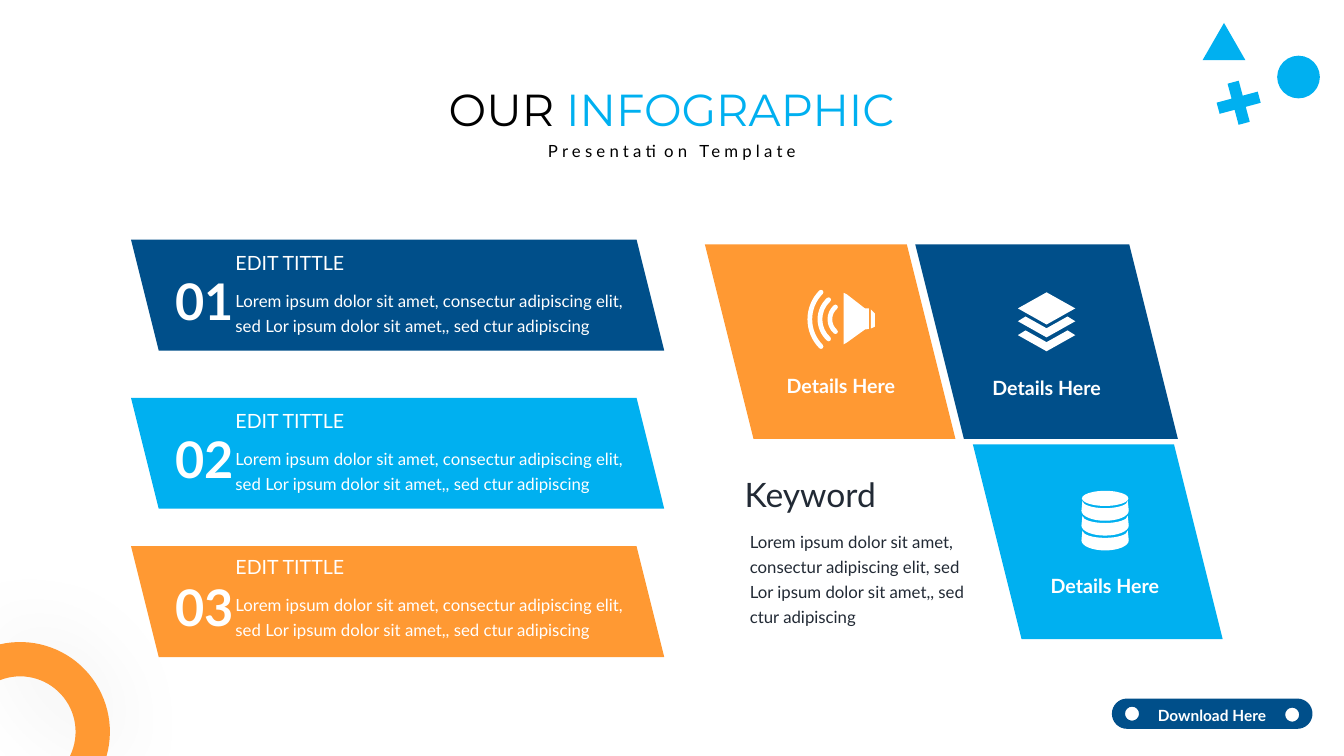
from math import acos, asin, atan2, ceil, cos, degrees, radians, sin, tan

from lxml.etree import SubElement
from pptx import Presentation
from pptx.dml.color import RGBColor
from pptx.enum.shapes import MSO_SHAPE
from pptx.enum.text import MSO_AUTO_SIZE, PP_ALIGN
from pptx.oxml.ns import qn
from pptx.util import Pt

NAVY, SKY, ORANGE = "004F8A", "00B0F0", "FF9933"
WHITE, BLACK, INK = "FFFFFF", "000000", "222A35"
LOREM = ("Lorem ipsum dolor sit amet, consectur adipiscing elit, "
         "sed Lor ipsum dolor sit amet,, sed ctur adipiscing")


def rgb(code):
    return RGBColor.from_string(code)


def polygon(*points):
    return [(point,) for point in points]


def arc(cx, cy, rx, ry, start, end):
    count = ceil(abs(end - start) / 90)
    turn = radians(end - start) / count
    pull = 4 / 3 * tan(turn / 4)
    pieces = [((cx + rx * cos(radians(start)), cy + ry * sin(radians(start))),)]
    for i in range(count):
        a = radians(start) + turn * i
        b = a + turn
        pieces.append(((cx + rx * (cos(a) - pull * sin(a)), cy + ry * (sin(a) + pull * cos(a))),
                       (cx + rx * (cos(b) + pull * sin(b)), cy + ry * (sin(b) - pull * cos(b))),
                       (cx + rx * cos(b), cy + ry * sin(b))))
    return pieces


class InfographicSlide:
    def __init__(self, slide, font="Lato"):
        self.shapes = slide.shapes
        self.font = font

    def finish(self, shape, fill):
        shape.shadow.inherit = False
        shape.fill.solid()
        shape.fill.fore_color.rgb = rgb(fill)
        shape.line.fill.background()
        return shape

    def preset(self, kind, box, fill, flip=False, rotation=0, adjust=None):
        shape = self.finish(self.shapes.add_shape(kind, *map(Pt, box)), fill)
        shape.rotation = rotation
        if adjust is not None:
            shape.adjustments[0] = adjust
        if flip:
            shape.element.spPr.get_or_add_xfrm().set("flipH", "1")

    def outline(self, *contours, fill=WHITE):
        builder = None
        for contour in contours:
            start, *rest = [(x * 100, y * 100) for piece in contour for x, y in piece]
            if builder is None:
                builder = self.shapes.build_freeform(*start, scale=Pt(1) / 100)
            else:
                builder.move_to(*start)
            builder.add_line_segments(rest, close=True)
        shape = builder.convert_to_shape()
        steps = iter(list(shape.element.iter(qn("a:lnTo"))))
        for contour in contours:
            for piece in contour[1:]:
                first, *others = [next(steps) for _ in piece]
                if others:
                    first.tag = qn("a:cubicBezTo")
                for other in others:
                    first.append(other[0])
                    other.getparent().remove(other)
        return self.finish(shape, fill)

    def glow(self, shape, blur, alpha):
        effects = shape.element.spPr.find(qn("a:effectLst"))
        shadow = SubElement(effects, qn("a:outerShdw"), blurRad=str(Pt(blur)),
                            dist="0", dir="0", algn="ctr", rotWithShape="0")
        color = SubElement(shadow, qn("a:srgbClr"), val=BLACK)
        SubElement(color, qn("a:alpha"), val=str(alpha * 1000))

    def text(self, content, box, size, color=WHITE, bold=False, center=False,
             inset=True, wrap=True, leading=None, tracking=None, font=None):
        frame = self.shapes.add_textbox(*map(Pt, box)).text_frame
        frame.word_wrap = wrap
        frame.auto_size = MSO_AUTO_SIZE.SHAPE_TO_FIT_TEXT
        if not inset:
            frame.margin_left = frame.margin_right = Pt(0)
            frame.margin_top = frame.margin_bottom = Pt(0)
        paragraph = frame.paragraphs[0]
        paragraph.alignment = PP_ALIGN.CENTER if center else PP_ALIGN.LEFT
        if leading:
            paragraph.line_spacing = leading
        pieces = [(content, color)] if isinstance(content, str) else content
        for words, shade in pieces:
            run = paragraph.add_run()
            run.text = words
            run.font.name = font or self.font
            run.font.size = Pt(size)
            run.font.bold = bold
            run.font.color.rgb = rgb(shade)
            if tracking:
                run.font._element.set("spc", str(tracking * 100))

    def step(self, number, fill, top, heading_top):
        self.preset(MSO_SHAPE.PARALLELOGRAM, (93.6, top, 380.9, 79.2), fill, flip=True)
        self.text(number, (125, top + 21.6, 41.8, 43.9), 36, bold=True,
                  inset=False, wrap=False)
        self.text("EDIT TITTLE", (168.2, heading_top, 146.9, 17.3), 14, inset=False)
        self.text(LOREM, (168.2, heading_top + 25, 282.2, 35.3), 12,
                  inset=False, leading=1.25)

    def tile(self, fill, box, caption_box):
        self.preset(MSO_SHAPE.PARALLELOGRAM, box, fill, flip=True)
        self.text("Details Here", caption_box, 14, bold=True, center=True)

    def wave(self, left, middle, depth, half, thick=3.4):
        radius = (half ** 2 + depth ** 2) / (2 * depth)
        cx = left + radius
        spread = degrees(atan2(half, radius - depth))
        low, high = 180 - spread, 180 + spread
        cap = thick / 2
        outer, inner = radius + cap, radius - cap
        tip_x = left + depth
        self.outline(arc(cx, middle, outer, outer, low, 180)
                     + arc(cx, middle, outer, outer, 180, high)[1:]
                     + arc(tip_x, middle - half, cap, cap, high, high + 180)[1:]
                     + arc(cx, middle, inner, inner, high, low)[1:]
                     + arc(tip_x, middle + half, cap, cap, low + 180, low + 360)[1:])

    def speaker_icon(self):
        self.outline(polygon((602.6, 209.2), (604.8, 210.2), (617.8, 220.3), (620.6, 220.3),
                             (620.6, 235), (617.8, 235.4), (604.8, 244.8), (602.6, 246)))
        self.outline(polygon((622.1, 221), (625, 223.9), (625, 233.3), (622.1, 234.7)))
        for left, depth, half in ((592.8, 4, 8.8), (585.7, 6.2, 14), (578.5, 8, 19.4)):
            self.wave(left, 228.1, depth, half)

    def layers_icon(self, cx=747.6):
        for top in (226.1, 236):
            self.outline(polygon((cx, top + 8.4), (cx + 15, top), (cx + 20.5, top + 3.4),
                                 (cx, top + 14.9), (cx - 20.5, top + 3.4), (cx - 15, top)))
        self.outline(polygon((cx - 20.5, 220.3), (cx, 208.8), (cx + 20.5, 220.3), (cx, 231.8)))

    def database_icon(self, cx=789.4):
        for i in range(3):
            top = 357.8 + 10.6 * i
            self.outline(arc(cx, top, 16.2, 5.2, 180, 0)
                         + arc(cx, top + 7, 16.9, 7.2, 0, 180))
        self.preset(MSO_SHAPE.OVAL, (cx - 16.6, 350.6, 33.2, 10.8), WHITE)

    def corner_ring(self, cx=14.4, cy=522.7, outer=64.1, inner=39.6, floor=540):
        ends = [(-degrees(acos(-cx / r)), degrees(asin((floor - cy) / r)))
                for r in (outer, inner)]
        ring = self.outline(arc(cx, cy, outer, outer, *ends[0])
                            + arc(cx, cy, inner, inner, *reversed(ends[1])), fill=ORANGE)
        self.glow(ring, 65, 7)

    def download_button(self, middle=509.8, end=10.8, hole=5):
        self.outline(arc(926.7, middle, end, end, -90, 90)
                     + arc(805, middle, end, end, 90, 270),
                     arc(923, 510.5, hole, hole, 360, 0),
                     arc(808.6, 509.8, hole, hole, 360, 0), fill=NAVY)
        self.text("Download Here", (813.9, 498.2, 103.7, 21.6), 11, bold=True,
                  center=True, leading=1.2)


def main():
    deck = Presentation()
    deck.slide_width, deck.slide_height = Pt(960), Pt(540)
    page = InfographicSlide(deck.slides.add_slide(deck.slide_layouts[6]))

    page.step("01", NAVY, 171.2, 178.9)
    page.step("03", ORANGE, 390.2, 396.3)
    page.step("02", SKY, 284.2, 292.1)

    page.tile(NAVY, (653.8, 174.5, 187.6, 139), (673.2, 265, 149, 24.2))
    page.tile(ORANGE, (503.5, 174.5, 179, 139), (545.6, 263.5, 110.2, 24.2))
    page.tile(SKY, (695, 317.5, 178.4, 139), (725.2, 406.1, 128.2, 24.2))
    page.speaker_icon()
    page.layers_icon()
    page.database_icon()

    page.text(LOREM, (535.6, 376, 159.1, 71.3), 12, INK, inset=False, leading=1.25)
    page.text("Keyword", (531.9, 331.2, 159.1, 33.8), 24, INK, inset=False, leading=1.25)

    page.preset(MSO_SHAPE.OVAL, (912.3, 39.8, 30.5, 30.5), SKY)
    page.preset(MSO_SHAPE.ISOSCELES_TRIANGLE, (859, 16.4, 30.6, 26.6), SKY)
    page.preset(MSO_SHAPE.CROSS, (869.6, 58.2, 30.4, 30.4), SKY, rotation=-15, adjust=0.364)

    page.text([("OUR ", BLACK), ("INFOGRAPHIC", SKY)], (272.2, 55, 415.4, 46.1), 32,
              center=True, font="Montserrat")
    page.text("Presentation Template", (361.9, 94.3, 236.2, 23), 12, BLACK,
              center=True, leading=1.2, tracking=3)

    page.corner_ring()
    page.download_button()

    deck.save("out.pptx")


if __name__ == "__main__":
    main()
